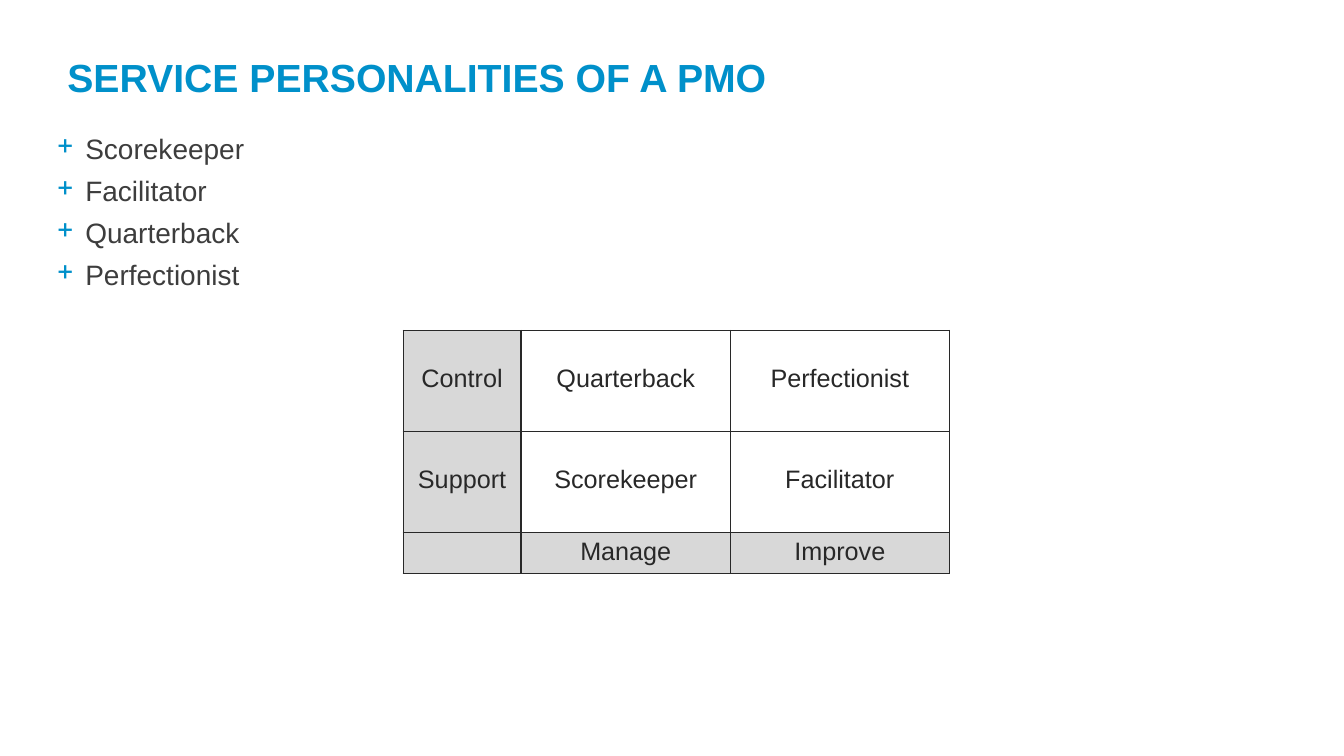
import pptx
import pptx.util
import pptx.dml.color
import pptx.enum.text
import pptx.oxml.ns
from lxml import etree

Cm = pptx.util.Cm
Pt = pptx.util.Pt
RGBColor = pptx.dml.color.RGBColor
Anchor = pptx.enum.text.MSO_ANCHOR
Align = pptx.enum.text.PP_ALIGN
qn = pptx.oxml.ns.qn

BLUE = RGBColor(0x00, 0x90, 0xCA)
GRAY = RGBColor(0x3D, 0x3D, 0x3D)
INK = RGBColor(0x28, 0x28, 0x28)
SHADE = RGBColor(0xD8, 0xD8, 0xD8)

ROLES = ["Scorekeeper", "Facilitator", "Quarterback", "Perfectionist"]
GRID = [
    ["Control", "Quarterback", "Perfectionist"],
    ["Support", "Scorekeeper", "Facilitator"],
    ["", "Manage", "Improve"],
]
WIDTHS = [2.97, 5.28, 5.51]
HEIGHTS = [2.54, 2.54, 1.04]


def style(para, size, color, bold=False):
    """Set the font of a whole paragraph."""
    font = para.font
    font.name, font.size, font.bold = "Arial", Pt(size), bold
    font.color.rgb = color


def add_color(parent, color):
    """Append a solid colour to an XML element."""
    fill = etree.SubElement(parent, qn("a:solidFill"))
    etree.SubElement(fill, qn("a:srgbClr"), val=str(color))


def add_title(slide, left, top, width, height):
    """Place the heading, centred vertically in its box."""
    frame = slide.shapes.add_textbox(Cm(left), Cm(top), Cm(width), Cm(height)).text_frame
    frame.word_wrap = True
    frame.vertical_anchor = Anchor.MIDDLE
    frame.text = "SERVICE PERSONALITIES OF A PMO"
    style(frame.paragraphs[0], 28, BLUE, True)


def add_list(slide, left, top, width, height):
    """Place the bulleted list of roles in its box."""
    frame = slide.shapes.add_textbox(Cm(left), Cm(top), Cm(width), Cm(height)).text_frame
    frame.word_wrap = True
    frame.text = "\n".join(ROLES)
    for index, para in enumerate(frame.paragraphs):
        style(para, 20, GRAY)
        para.space_before = Pt(6 if index else 0)
        props = para._p.get_or_add_pPr()
        props.set("marL", str(Cm(0.71)))
        props.set("indent", str(-Cm(0.71)))
        tint = etree.SubElement(props, qn("a:buClr"))
        etree.SubElement(tint, qn("a:srgbClr"), val=str(BLUE))
        etree.SubElement(props, qn("a:buChar"), char="+")
        props.append(props.find(qn("a:defRPr")))


def add_borders(cell):
    """Draw a thin line on all four sides of a cell."""
    props = cell._tc.get_or_add_tcPr()
    for side in ("lnL", "lnR", "lnT", "lnB"):
        add_color(etree.SubElement(props, qn("a:" + side), w=str(Pt(1))), INK)


def add_grid(slide, left, top):
    """Place the table of roles with shaded axis cells."""
    frame = slide.shapes.add_table(len(HEIGHTS), len(WIDTHS), Cm(left), Cm(top),
                                   Cm(sum(WIDTHS)), Cm(sum(HEIGHTS)))
    table = frame.table
    table.first_row = table.horz_banding = False
    for column, width in zip(table.columns, WIDTHS):
        column.width = Cm(width)
    for row, height in zip(table.rows, HEIGHTS):
        row.height = Cm(height)
    last = len(GRID) - 1
    for r, words in enumerate(GRID):
        for c, word in enumerate(words):
            cell = table.cell(r, c)
            cell.text = word
            cell.margin_top = Cm(0.13 if r == last else 0.86)
            para = cell.text_frame.paragraphs[0]
            para.alignment = Align.CENTER
            style(para, 18, INK)
            add_borders(cell)
            if c == 0 or r == last:
                cell.fill.solid()
                cell.fill.fore_color.rgb = SHADE
            else:
                cell.fill.background()


def main():
    """Build the slide and save it."""
    deck = pptx.Presentation()
    deck.slide_width, deck.slide_height = Cm(33.87), Cm(19.05)
    slide = deck.slides.add_slide(deck.slide_layouts[6])
    add_title(slide, 1.45, 0.86, 29.16, 2.16)
    add_list(slide, 1.19, 3.18, 31.45, 4.45)
    add_grid(slide, 10.16, 8.33)
    deck.save("out.pptx")


if __name__ == "__main__":
    main()
